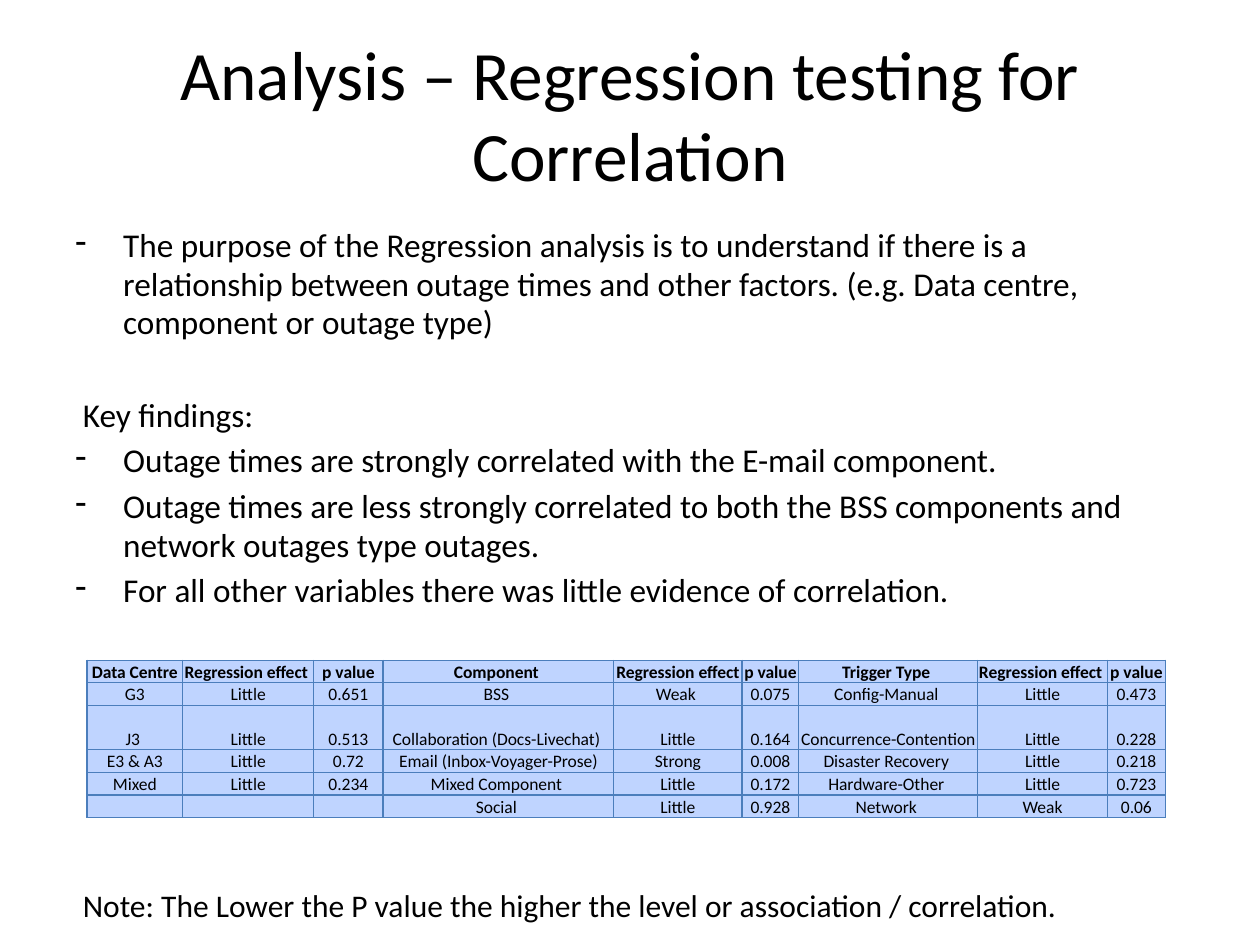
"""Build the regression testing slide with key findings and a results table."""
from lxml import etree
from pptx import Presentation
from pptx.dml.color import RGBColor
from pptx.enum import text
from pptx.oxml import ns
from pptx.util import Inches, Pt

BLACK = RGBColor(0, 0, 0)
CELL_BLUE = RGBColor(0xBF, 0xD4, 0xFF)
BORDER_BLUE = RGBColor(0x4B, 0x7E, 0xBC)
CENTER = text.PP_ALIGN.CENTER

TITLE = "Analysis – Regression testing for Correlation"
PURPOSE = ("The purpose of the Regression analysis is to understand if there is a relationship "
           "between outage times and other factors. (e.g. Data centre, component or outage type)")
HEADING = "Key findings:"
FINDINGS = [
    "Outage times are strongly correlated with the E-mail component.",
    "Outage times are less strongly correlated to both the BSS components and "
    "network outages type outages.",
    "For all other variables there was little evidence of correlation.",
]
NOTE = "Note: The Lower the P value the higher the level or association / correlation."

EFFECT, P_VALUE = "Regression effect ", "p value"
ROWS = [
    ("Data Centre", EFFECT, P_VALUE, "Component ", EFFECT, P_VALUE, "Trigger Type ", EFFECT, P_VALUE),
    ("G3", "Little", "0.651", "BSS ", "Weak ", "0.075", "Config-Manual ", "Little", "0.473"),
    ("J3 ", "Little", "0.513", "Collaboration (Docs-Livechat) ", "Little", "0.164",
     "Concurrence-Contention ", "Little", "0.228"),
    ("E3 & A3", "Little", "0.72", "Email (Inbox-Voyager-Prose)", "Strong", "0.008",
     "Disaster Recovery ", "Little", "0.218"),
    ("Mixed", "Little", "0.234", "Mixed Component ", "Little", "0.172",
     "Hardware-Other ", "Little", "0.723"),
    ("", "", "", "Social ", "Little", "0.928", "Network ", "Weak", "0.06"),
]
COL_WIDTHS = [0.76, 1.04, 0.55, 1.83, 1.02, 0.45, 1.42, 1.03, 0.46]
ROW_HEIGHTS = [0.18, 0.18, 0.35, 0.18, 0.18, 0.18]


def write(p, words, size, bold=False, align=None, before=0, spacing=None, indent=0, bullet=None):
    p.alignment, p.space_before, p.line_spacing = align, Pt(before), spacing
    p.font.size, p.font.name = Pt(size), "Calibri"
    pPr = p._p.get_or_add_pPr()
    if indent:
        pPr.set("marL", str(Inches(indent)))
    if bullet:
        pPr.set("indent", str(-Inches(indent)))
        mark = etree.Element(ns.qn("a:buChar"), char=bullet)
        pPr.insert_element_before(mark, "a:tabLst", "a:defRPr", "a:extLst")
    if words:
        r = p.add_run()
        r.text = words
        r.font.size, r.font.name, r.font.bold = Pt(size), "Calibri", bold
        r.font.color.rgb = BLACK
    else:
        etree.SubElement(p._p, ns.qn("a:endParaRPr"), sz=str(size * 100))


def add_box(s, x, y, w, h, anchor=text.MSO_ANCHOR.TOP):
    tf = s.shapes.add_textbox(Inches(x), Inches(y), Inches(w), Inches(h)).text_frame
    tf.word_wrap, tf.vertical_anchor = True, anchor
    return tf


def style_cell(cell):
    cell.vertical_anchor = text.MSO_ANCHOR.BOTTOM
    cell.margin_left = cell.margin_right = cell.margin_top = Inches(0.01)
    cell.margin_bottom = 0
    tcPr = cell._tc.get_or_add_tcPr()
    for side in ("lnL", "lnR", "lnT", "lnB"):
        ln = etree.SubElement(tcPr, ns.qn(f"a:{side}"), w=str(Pt(0.75)))
        line_fill = etree.SubElement(ln, ns.qn("a:solidFill"))
        etree.SubElement(line_fill, ns.qn("a:srgbClr"), val=str(BORDER_BLUE))
    cell.fill.solid()
    cell.fill.fore_color.rgb = CELL_BLUE


def add_results(s):
    tbl = s.shapes.add_table(len(ROWS), len(COL_WIDTHS), Inches(0.69), Inches(5.24),
                             Inches(sum(COL_WIDTHS)), Inches(sum(ROW_HEIGHTS))).table
    for col, width in zip(tbl.columns, COL_WIDTHS):
        col.width = Inches(width)
    for i, (row, height) in enumerate(zip(tbl.rows, ROW_HEIGHTS)):
        row.height = Inches(height)
        for cell, words in zip(row.cells, ROWS[i]):
            style_cell(cell)
            write(cell.text_frame.paragraphs[0], words, 10, bold=i == 0, align=CENTER)


def main():
    prs = Presentation()
    prs.slide_width, prs.slide_height = Inches(10), Inches(7.5)
    s = prs.slides.add_slide(prs.slide_layouts[6])

    tf = add_box(s, 0.5, 0.3, 9, 1.25, text.MSO_ANCHOR.MIDDLE)
    write(tf.paragraphs[0], TITLE, 39.6, align=CENTER, spacing=0.98)

    tf = add_box(s, 0.5, 1.75, 9, 4.96)
    body = {"size": 19, "spacing": 0.97}
    item = {**body, "before": 4, "indent": 0.38, "bullet": "-"}
    write(tf.paragraphs[0], PURPOSE, **item)
    write(tf.add_paragraph(), HEADING, before=30.5, indent=0.06, **body)
    for finding in FINDINGS:
        write(tf.add_paragraph(), finding, **item)

    add_results(s)
    write(add_box(s, 0.56, 6.98, 8.87, 0.4).paragraphs[0], NOTE, 18)
    prs.save("out.pptx")


if __name__ == "__main__":
    main()
